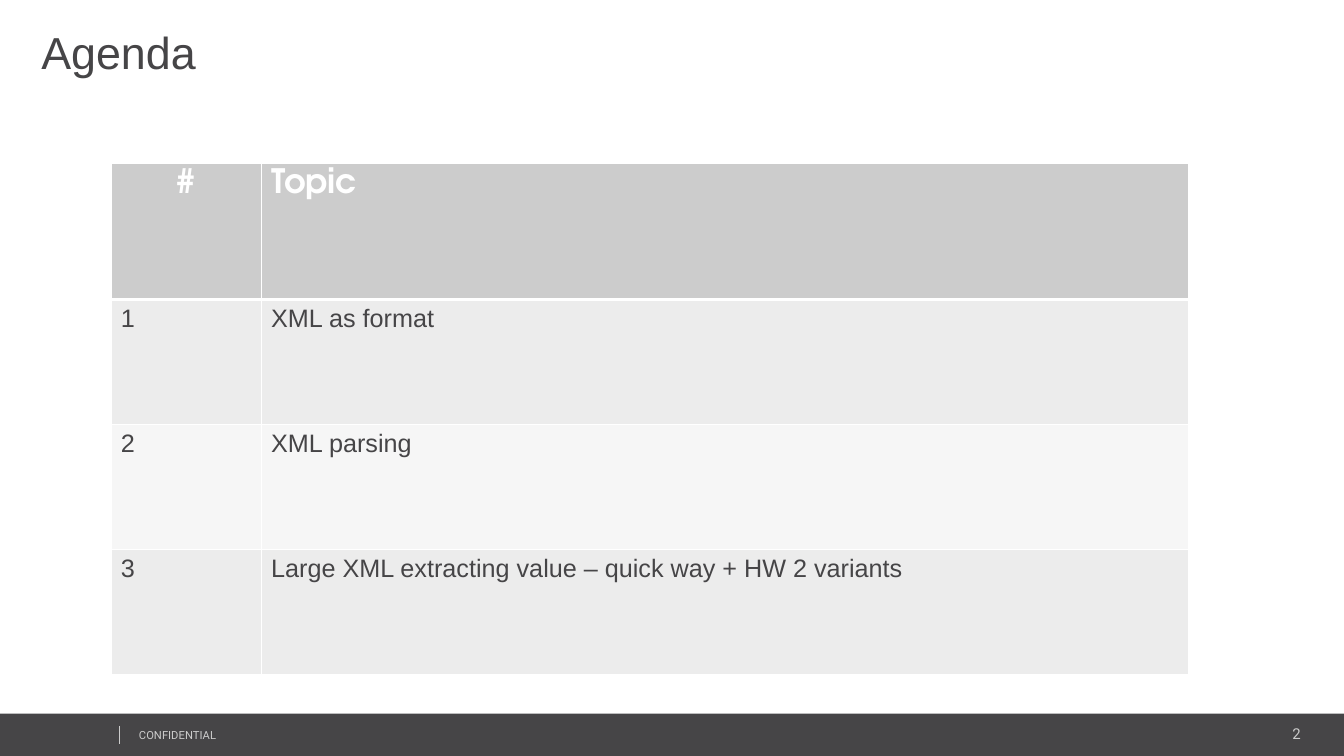
import pptx
import pptx.dml.color
import pptx.enum.shapes
import pptx.enum.text
import pptx.oxml
import pptx.oxml.ns
import pptx.util
from pptx.util import Inches

COLORS = {
    "dark": "464547",
    "muted": "CCCCCC",
    "white": "FFFFFF",
    "odd": "ECECEC",
    "even": "F6F6F6",
}
ALIGN = pptx.enum.text.PP_ALIGN
TOPICS = [
    "XML as format",
    "XML parsing",
    "Large XML extracting value – quick way + HW 2 variants",
]


def rgb(name):
    return pptx.dml.color.RGBColor.from_string(COLORS[name])


def add_span(para, text, size, font, color, bold=False):
    span = para.add_run()
    span.text = text
    span.font.size = pptx.util.Pt(size)
    span.font.name = font
    span.font.bold = bold
    span.font.color.rgb = rgb(color)


def add_label(page, box, text, size, font, color, align=ALIGN.LEFT):
    """Place one line of text in a box and return its frame."""
    frame = page.shapes.add_textbox(*map(Inches, box)).text_frame
    frame.word_wrap = True
    para = frame.paragraphs[0]
    para.alignment = align
    add_span(para, text, size, font, color)
    return frame


def add_title(page, left, top, width, height):
    frame = add_label(page, (left, top, width, height), "Agenda", 32, "Arial", "dark")
    frame.margin_left = Inches(0.41)
    frame.vertical_anchor = pptx.enum.text.MSO_ANCHOR.MIDDLE


def add_footer(page, left, top, width, height):
    bar = page.shapes.add_shape(
        pptx.enum.shapes.MSO_SHAPE.RECTANGLE,
        *map(Inches, (left, top, width, height)))
    bar.shadow.inherit = False
    bar.fill.solid()
    bar.fill.fore_color.rgb = rgb("dark")
    bar.line.fill.background()

    add_label(page, (left + width - 2.53, top + 0.06, 2.18, 0.28),
              "2", 10.7, "Roboto", "muted", ALIGN.RIGHT)
    add_label(page, (left + 1.28, top + 0.1, 3.38, 0.24),
              "CONFIDENTIAL", 8, "Roboto", "muted")

    divider = page.shapes.add_connector(
        pptx.enum.shapes.MSO_CONNECTOR.STRAIGHT,
        *map(Inches, (left + 1.19, top + 0.12, left + 1.19, top + 0.3)))
    divider.line.color.rgb = rgb("muted")
    divider.line.width = pptx.util.Pt(0.75)
    divider._element.spPr.append(pptx.oxml.parse_xml(
        f"<a:effectLst {pptx.oxml.ns.nsdecls('a')}/>"))


def style_cell(cell, fill, top_width, bottom_width):
    """Fill the cell and draw its white borders, with widths in points."""
    properties = cell._tc.get_or_add_tcPr()
    widths = {"lnL": 1, "lnR": 1, "lnT": top_width, "lnB": bottom_width}
    for side, width in widths.items():
        properties.append(pptx.oxml.parse_xml(
            f"<a:{side} {pptx.oxml.ns.nsdecls('a')} w=\"{pptx.util.Pt(width)}\">"
            f"<a:solidFill><a:srgbClr val=\"{COLORS['white']}\"/></a:solidFill>"
            f"</a:{side}>"))
    cell.fill.solid()
    cell.fill.fore_color.rgb = rgb(fill)


def add_agenda(page, left, top, width, height):
    rows = [("#", "Topic")]
    rows += [(str(number), topic) for number, topic in enumerate(TOPICS, 1)]
    table = page.shapes.add_table(
        len(rows), 2, *map(Inches, (left, top, width, height))).table

    number_width, header_height = 1.49, 1.35
    table.columns[0].width = Inches(number_width)
    table.columns[1].width = Inches(width - number_width)
    for index, row in enumerate(table.rows):
        body_height = (height - header_height) / len(TOPICS)
        row.height = Inches(body_height if index else header_height)

    for index, texts in enumerate(rows):
        for column, text in enumerate(texts):
            cell = table.cell(index, column)
            para = cell.text_frame.paragraphs[0]
            if index == 0:
                style_cell(cell, "muted", 1, 3)
                para.alignment = ALIGN.LEFT if column else ALIGN.CENTER
                add_span(para, text, 24, "TeX Gyre Adventor", "white", True)
            else:
                style_cell(cell, "odd" if index % 2 else "even",
                           3 if index == 1 else 1, 1)
                add_span(para, text, 18, "Arial", "dark")


def main():
    deck = pptx.Presentation()
    deck.slide_width = Inches(13.33)
    deck.slide_height = Inches(7.5)
    page = deck.slides.add_slide(deck.slide_layouts[6])
    add_footer(page, 0, 7.08, 13.35, 0.43)
    add_title(page, 0, 0, 13.33, 1.02)
    add_agenda(page, 1.1, 1.62, 10.69, 5.07)
    deck.save("out.pptx")


if __name__ == "__main__":
    main()
